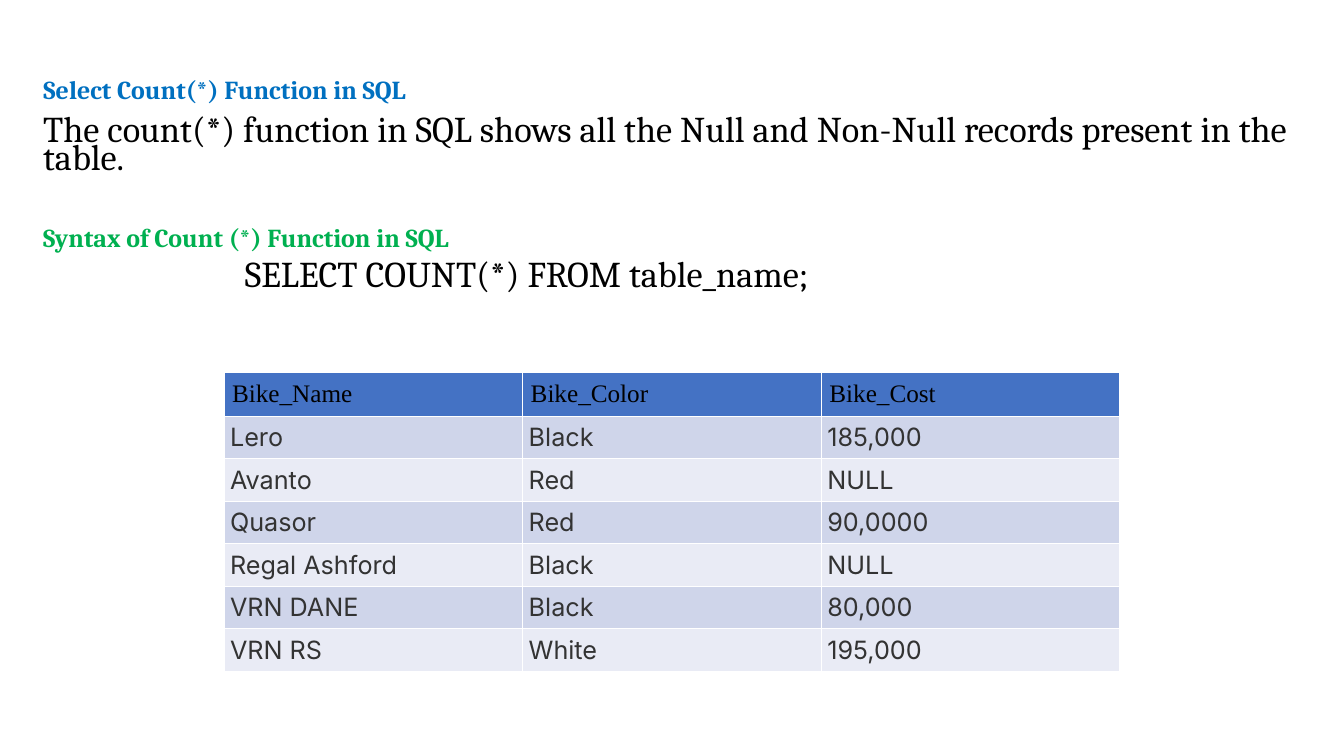
from dataclasses import dataclass

from pptx import Presentation
from pptx.dml.color import RGBColor
from pptx.enum.text import MSO_ANCHOR, MSO_AUTO_SIZE, PP_ALIGN
from pptx.util import Inches, Pt

LEFT, JUSTIFY = PP_ALIGN.LEFT, PP_ALIGN.JUSTIFY
TOP = MSO_ANCHOR.TOP
NO_FIT = MSO_AUTO_SIZE.NONE

HEADING = "Select Count(*) Function in SQL"
# text, style, space before in points, left indent in inches
EXPLANATION = [
    ("The count(*) function in SQL shows all the Null and Non-Null records "
     "present in the table.", "body", 0, 0),
    ("Syntax of Count (*) Function in SQL", "syntax", 40, 0),
    ("SELECT COUNT(*) FROM table_name;", "body", 10.5, 2),
]
BIKES = [
    ("Bike_Name", "Bike_Color", "Bike_Cost"),
    ("Lero", "Black", "185,000"),
    ("Avanto", "Red", "NULL"),
    ("Quasor", "Red", "90,0000"),
    ("Regal Ashford", "Black", "NULL"),
    ("VRN DANE", "Black", "80,000"),
    ("VRN RS", "White", "195,000"),
]


@dataclass(frozen=True)
class TextStyle:
    font: str
    size: float
    color: str
    bold: bool = False


@dataclass(frozen=True)
class Theme:
    heading = TextStyle("Cambria", 18.5, "0070C0", True)
    syntax = TextStyle("Cambria", 18.5, "00B050", True)
    body = TextStyle("Cambria", 25.9, "000000")
    column_head = TextStyle("Times New Roman", 18, "000000")
    record = TextStyle("Inter", 18, "333333")
    head_fill = "4472C4"
    bands = ("CFD5EA", "E9EBF5")
    line_spacing = 0.63


THEME = Theme()
SLIDE_W, SLIDE_H = 13.33, 7.5
MARGIN, TEXT_W = 0.33, 12.68
HEADING_TOP, HEADING_H = 0.78, 0.37
EXPLANATION_H = 2.03
TABLE_W, TABLE_H = SLIDE_W * 2 / 3, 2.93
TABLE_LEFT, TABLE_TOP = (SLIDE_W - TABLE_W) / 2, 3.69
HEAD_ROW_H = 0.44
HEAD_INSET, RECORD_INSET = 0.08, 0.06


def format_paragraph(paragraph, style, align=LEFT):
    paragraph.alignment = align
    for run in paragraph.runs:
        run.font.name = style.font
        run.font.size = Pt(style.size)
        run.font.bold = style.bold
        run.font.color.rgb = RGBColor.from_string(style.color)


def prepare_frame(frame):
    frame.word_wrap = True
    frame.auto_size = NO_FIT
    frame.vertical_anchor = TOP


def add_heading(slide):
    title = slide.shapes.title
    title.left, title.top = Inches(MARGIN), Inches(HEADING_TOP)
    title.width, title.height = Inches(TEXT_W), Inches(HEADING_H)
    frame = title.text_frame
    prepare_frame(frame)
    frame.text = HEADING
    frame.paragraphs[0].line_spacing = THEME.line_spacing
    frame.paragraphs[0].space_before = Pt(0)
    format_paragraph(frame.paragraphs[0], THEME.heading)


def add_explanation(slide):
    frame = slide.shapes.add_textbox(
        Inches(MARGIN), Inches(HEADING_TOP + HEADING_H),
        Inches(TEXT_W), Inches(EXPLANATION_H)).text_frame
    prepare_frame(frame)
    frame.text = "\n".join(text for text, *_ in EXPLANATION)
    for paragraph, (_, style, gap, indent) in zip(frame.paragraphs, EXPLANATION):
        paragraph.line_spacing = THEME.line_spacing
        paragraph.space_before = Pt(gap)
        format_paragraph(paragraph, getattr(THEME, style))
        if indent:
            paragraph._p.get_or_add_pPr().set("marL", str(Inches(indent)))


def add_bike_table(slide):
    columns, records = len(BIKES[0]), len(BIKES) - 1
    table = slide.shapes.add_table(
        len(BIKES), columns, Inches(TABLE_LEFT), Inches(TABLE_TOP),
        Inches(TABLE_W), Inches(TABLE_H)).table
    for r, bike in enumerate(BIKES):
        if r == 0:
            height, inset, align = HEAD_ROW_H, HEAD_INSET, LEFT
            style, fill = THEME.column_head, THEME.head_fill
        else:
            height, inset, align = (TABLE_H - HEAD_ROW_H) / records, RECORD_INSET, JUSTIFY
            style, fill = THEME.record, THEME.bands[(r - 1) % 2]
        table.rows[r].height = Inches(height)
        for cell, value in zip(table.rows[r].cells, bike):
            cell.margin_left = cell.margin_right = Inches(inset)
            cell.margin_top = cell.margin_bottom = Inches(inset)
            cell.fill.solid()
            cell.fill.fore_color.rgb = RGBColor.from_string(fill)
            cell.text_frame.text = value
            format_paragraph(cell.text_frame.paragraphs[0], style, align)


def main():
    deck = Presentation()
    deck.slide_width, deck.slide_height = Inches(SLIDE_W), Inches(SLIDE_H)
    title_only = deck.slide_layouts.get_by_name("Title Only")
    slide = deck.slides.add_slide(title_only)
    add_heading(slide)
    add_explanation(slide)
    add_bike_table(slide)
    deck.save("out.pptx")


if __name__ == "__main__":
    main()
